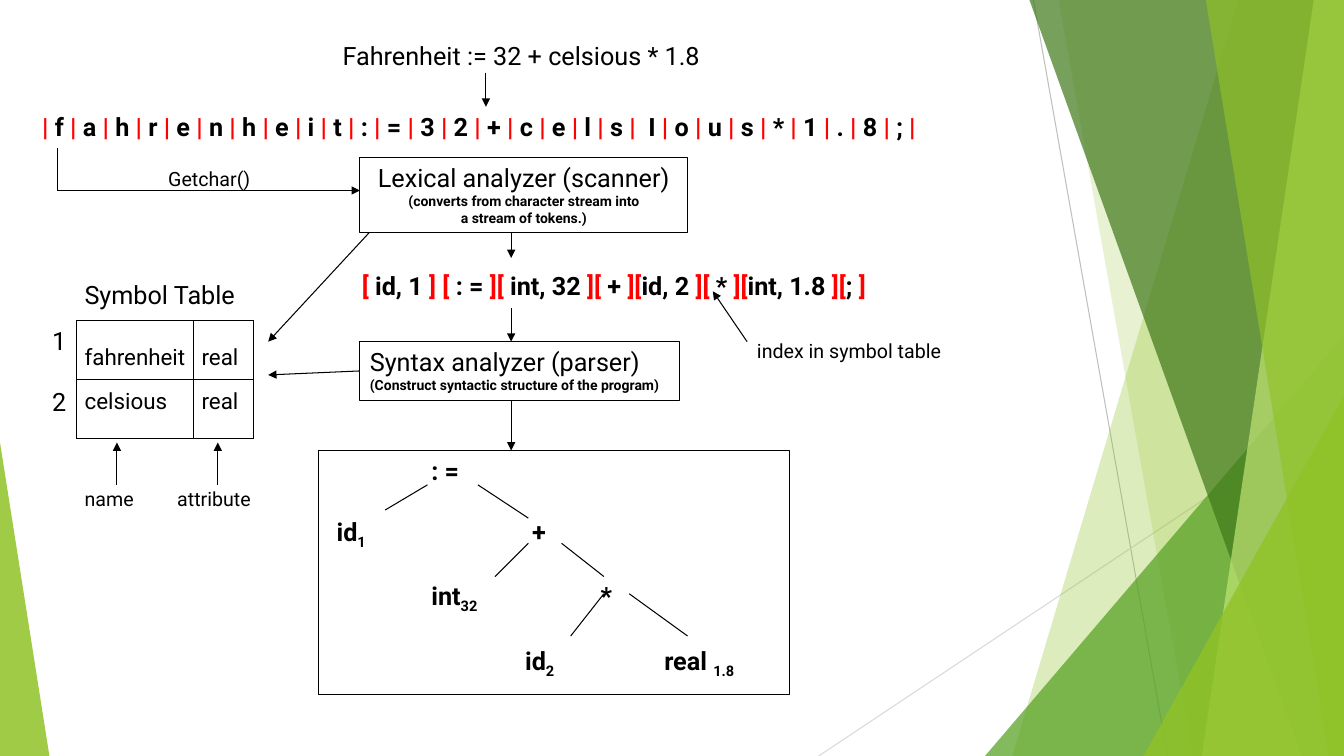
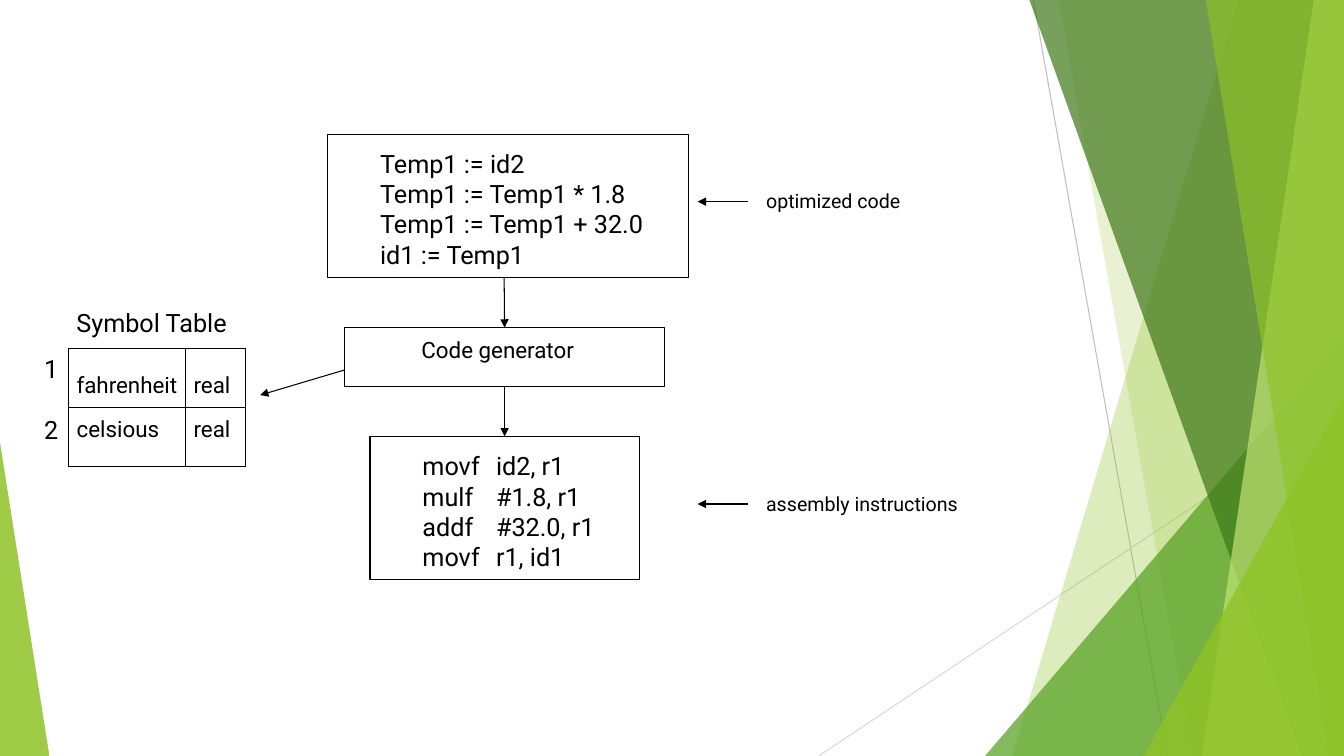
from itertools import cycle

from lxml import etree
from pptx import Presentation
from pptx.dml.color import RGBColor
from pptx.enum.shapes import MSO_CONNECTOR, MSO_SHAPE
from pptx.enum.text import MSO_ANCHOR, PP_ALIGN
from pptx.oxml.ns import qn
from pptx.util import Inches, Pt

FONT = "Roboto"
BLACK = RGBColor(0x00, 0x00, 0x00)
RED = RGBColor(0xFF, 0x00, 0x00)
LIME = RGBColor(0x90, 0xC2, 0x26)
GREEN = RGBColor(0x54, 0xA0, 0x21)
FOREST = RGBColor(0x3F, 0x78, 0x19)
PALE_LIME = RGBColor(0xC0, 0xE4, 0x74)
GRAY = RGBColor(0xBF, 0xBF, 0xBF)
LIGHT_GRAY = RGBColor(0xD9, 0xD9, 0xD9)

SLIDE_WIDTH, SLIDE_HEIGHT = 13.33, 7.5
LINE_WIDTH = Pt(0.75)

# Background, from back to front
RAYS = [((10.25, 0), (11.58, 7.5), GRAY), ((13.33, 4.03), (8.12, 7.5), LIGHT_GRAY)]
# Bands: left edge at the top and at the bottom. Triangles: left, top, width, apex.
FACETS = [
    ((12.28, 10.04), LIME, 30),
    ((10.5, 11.83), LIME, 20),
    ((9.77, 3.33, 3.56, 1), GREEN, 72),
    ((10.21, 12.91), FOREST, 70),
    ((13.03, 11.92), PALE_LIME, 70),
    ((11.96, 13.18), LIME, 65),
    ((11.34, 3.93, 1.99, 1), LIME, 80),
    ((0, 4.39, 0.49, 0), LIME, 85),
]

SYMBOLS = [("fahrenheit", "real"), ("celsious", "real")]
SYMBOL_COLUMNS = (1.16, 0.59)
SYMBOL_ROW = 0.585

# Slide 1
STATEMENT = "Fahrenheit := 32 + celsious * 1.8"
CHARACTERS = [*"fahrenheit:=32+cels", " I", *"ous*1.8;"]
TOKENS = ["[", " id, 1 ", "] [", " : = ", "][ ", "int, 32 ", "][", " + ", "][", "id, 2 ",
          "][", " * ", "][", "int, 1.8 ", "][", ";", " ]"]
SCANNER = [("Lexical analyzer (scanner)", 18, False),
           ("(converts from character stream into", 10, True),
           ("a stream of tokens.)", 10, True)]
PARSER = [("Syntax analyzer (parser)", 18, False),
          ("(Construct syntactic structure of the program)", 10, True)]
CAPTIONS = [("Getchar()", 1.57, 1.61), ("name", 0.74, 4.78), ("attribute", 1.66, 4.78),
            ("index in symbol table", 7.41, 3.31)]
FLOW_ARROWS = [
    ((4.82, 0.72), (4.82, 1.06)),
    ((0.57, 1.89), (3.57, 1.89)),
    ((3.66, 2.31), (2.66, 3.39)),
    ((5.07, 2.31), (5.07, 2.56)),
    ((5.07, 3.06), (5.07, 3.39)),
    ((5.07, 3.97), (5.07, 4.47)),
    ((1.16, 4.81), (1.16, 4.39)),
    ((2.16, 4.81), (2.16, 4.39)),
    ((7.41, 3.39), (7.07, 2.89)),
]
# Text, subscript, left, top
TREE_NODES = [
    (": =", "", 4.18, 4.47),
    ("id", "1", 3.24, 5.07), ("+", "", 5.18, 5.07),
    ("int", "32", 4.18, 5.71), ("*", "", 5.86, 5.71),
    ("id", "2", 5.11, 6.35), ("real ", "1.8", 6.49, 6.35),
]
TREE_BRANCHES = [
    ((4.24, 4.81), (3.82, 5.06)), ((4.74, 4.81), (5.24, 5.14)),
    ((5.24, 5.39), (4.91, 5.72)), ((5.57, 5.39), (5.99, 5.72)),
    ((5.99, 5.89), (5.66, 6.31)), ((6.24, 5.89), (6.82, 6.31)),
]

# Slide 2
OPTIMIZED = ["Temp1 := id2", "Temp1 := Temp1 * 1.8", "Temp1 := Temp1 + 32.0", "id1 := Temp1"]
ASSEMBLY = ["movf\tid2, r1", "mulf\t#1.8, r1", "addf\t#32.0, r1", "movf\tr1, id1"]
NOTES = [("optimized code", 2), ("assembly instructions", 5)]


def style_paragraph(paragraph, size, bold=False):
    font = paragraph.font
    font.name, font.size, font.bold = FONT, Pt(size), bold
    font.color.rgb = BLACK


def write_lines(frame, lines, align=PP_ALIGN.LEFT):
    """Fill a frame with (text, size, bold) paragraphs."""
    for index, (text, size, bold) in enumerate(lines):
        paragraph = frame.add_paragraph() if index else frame.paragraphs[0]
        paragraph.text = text
        paragraph.alignment = align
        style_paragraph(paragraph, size, bold)


def add_text(page, text, left, top, size=18, bold=False, width=4):
    box = page.shapes.add_textbox(Inches(left), Inches(top), Inches(width), Inches(0.4))
    box.text_frame.word_wrap = True
    write_lines(box.text_frame, [(text, size, bold)])
    return box.text_frame.paragraphs[0]


def add_striped_text(page, pieces, left, top, width):
    """Bold line whose pieces alternate between red and black."""
    paragraph = add_text(page, "", left, top, bold=True, width=width)
    for piece, color in zip(pieces, cycle((RED, BLACK))):
        span = paragraph.add_run()
        span.text = piece
        span.font.color.rgb = color


def add_box(page, left, top, width, height, lines=(), align=PP_ALIGN.LEFT, inset=(0.1, 0.05)):
    box = page.shapes.add_shape(MSO_SHAPE.RECTANGLE, Inches(left), Inches(top),
                                Inches(width), Inches(height))
    box.shadow.inherit = False
    box.fill.background()
    box.line.color.rgb = BLACK
    box.line.width = LINE_WIDTH
    frame = box.text_frame
    frame.word_wrap = True
    frame.vertical_anchor = MSO_ANCHOR.TOP
    frame.margin_left, frame.margin_top = map(Inches, inset)
    write_lines(frame, lines, align)
    return box


def add_line(page, start, end, color=BLACK, arrow=False):
    line = page.shapes.add_connector(MSO_CONNECTOR.STRAIGHT, *map(Inches, start + end))
    line.line.color.rgb = color
    line.line.width = LINE_WIDTH
    if arrow:
        etree.SubElement(line.line._get_or_add_ln(), qn("a:tailEnd"), type="triangle")
    etree.SubElement(line._element.spPr, qn("a:effectLst"))
    return line


def add_facet(page, outline, color, opacity):
    if len(outline) == 2:
        top_x, bottom_x = outline
        corners = [(SLIDE_WIDTH, 0), (SLIDE_WIDTH, SLIDE_HEIGHT), (bottom_x, SLIDE_HEIGHT)]
        builder = page.shapes.build_freeform(Inches(top_x), 0)
        builder.add_line_segments([(Inches(x), Inches(y)) for x, y in corners])
        facet = builder.convert_to_shape()
    else:
        left, top, width, apex = outline
        facet = page.shapes.add_shape(MSO_SHAPE.ISOSCELES_TRIANGLE, Inches(left), Inches(top),
                                      Inches(width), Inches(SLIDE_HEIGHT - top))
        facet.adjustments[0] = apex
    facet.shadow.inherit = False
    facet.line.fill.background()
    facet.fill.solid()
    facet.fill.fore_color.rgb = color
    tint = facet._element.spPr.find(qn("a:solidFill"))[0]
    etree.SubElement(tint, qn("a:alpha"), val=str(opacity * 1000))


def decorate_layout(layout, page):
    """Draw the background on a page, then move it to the layout all pages share."""
    for placeholder in list(layout.placeholders):
        layout.shapes._spTree.remove(placeholder._element)
    for start, end, color in RAYS:
        add_line(page, start, end, color)
    for facet in FACETS:
        add_facet(page, *facet)
    for shape in list(page.shapes):
        layout.shapes._spTree.append(shape._element)


def add_cell_borders(cell):
    properties = cell._tc.get_or_add_tcPr()
    for side in ("lnL", "lnR", "lnT", "lnB"):
        border = etree.SubElement(properties, qn("a:" + side), w=str(LINE_WIDTH))
        fill = etree.SubElement(border, qn("a:solidFill"))
        etree.SubElement(fill, qn("a:srgbClr"), val=str(BLACK))


def add_symbol_table(page, left, top):
    add_text(page, "Symbol Table", left - 0.02, top - 0.46, width=2)
    table = page.shapes.add_table(len(SYMBOLS), len(SYMBOL_COLUMNS), Inches(left), Inches(top),
                                  Inches(sum(SYMBOL_COLUMNS)),
                                  Inches(SYMBOL_ROW * len(SYMBOLS))).table
    table.first_row = table.horz_banding = False
    for column, width in zip(table.columns, SYMBOL_COLUMNS):
        column.width = Inches(width)
    anchors = (MSO_ANCHOR.BOTTOM, MSO_ANCHOR.TOP)
    for row, (symbol, anchor) in enumerate(zip(SYMBOLS, anchors)):
        table.rows[row].height = Inches(SYMBOL_ROW)
        add_text(page, str(row + 1), left - 0.34, top + 0.6 * row, width=0.4)
        for column, text in enumerate(symbol):
            cell = table.cell(row, column)
            write_lines(cell.text_frame, [(text, 16, False)])
            cell.vertical_anchor = anchor
            cell.margin_left = Inches(0.08)
            cell.margin_right = 0
            cell.margin_top = cell.margin_bottom = Inches(0.09)
            add_cell_borders(cell)
            cell.fill.background()


def build_analysis(page):
    add_text(page, STATEMENT, 3.3, 0.35)
    characters = ["|"]
    for character in CHARACTERS:
        characters += [f" {character} ", "|"]
    add_striped_text(page, characters, 0.32, 1.06, 9.56)
    add_striped_text(page, TOKENS, 3.49, 2.63, 6.4)
    add_symbol_table(page, 0.76, 3.18)
    add_box(page, 3.57, 1.56, 3.25, 0.75, SCANNER, PP_ALIGN.CENTER)
    parser = add_box(page, 3.57, 3.39, 3.17, 0.58, PARSER)
    add_box(page, 3.16, 4.47, 4.67, 2.42)

    add_line(page, (0.57, 1.47), (0.57, 1.89))
    for start, end in FLOW_ARROWS:
        add_line(page, start, end, arrow=True)
    add_line(page, (3.57, 3.68), (2.66, 3.72), arrow=True).begin_connect(parser, 1)
    for text, left, top in CAPTIONS:
        add_text(page, text, left, top, size=14, width=2.3)

    for start, end in TREE_BRANCHES:
        add_line(page, start, end)
    for text, subscript, left, top in TREE_NODES:
        paragraph = add_text(page, text, left, top, bold=True, width=1.2)
        if subscript:
            span = paragraph.add_run()
            span.text = subscript
            span._r.get_or_add_rPr().set("baseline", "-25000")


def build_generation(page):
    add_symbol_table(page, 0.68, 3.46)
    add_box(page, 3.25, 1.33, 3.58, 1.42, [(line, 18, False) for line in OPTIMIZED],
            inset=(0.52, 0.14))
    generator = add_box(page, 3.42, 3.25, 3.17, 0.58, [("Code generator", 16, False)],
                        inset=(0.76, 0.08))
    assembly = add_box(page, 3.67, 4.33, 2.67, 1.42, [(line, 18, False) for line in ASSEMBLY],
                       inset=(0.52, 0.14))
    for paragraph in assembly.text_frame.paragraphs:
        stops = etree.Element(qn("a:tabLst"))
        etree.SubElement(stops, qn("a:tab"), pos=str(Inches(0.73)), algn="l")
        paragraph._p.get_or_add_pPr().insert(0, stops)

    add_line(page, (5, 2.75), (5, 3.25), arrow=True).end_connect(generator, 0)
    output = add_line(page, (5, 3.83), (5, 4.33), arrow=True)
    output.begin_connect(generator, 2)
    output.end_connect(assembly, 0)
    add_line(page, (3.42, 3.67), (2.58, 3.92), arrow=True)
    for text, middle in NOTES:
        add_text(page, text, 7.5, middle - 0.17, size=14, width=2.3)
        add_line(page, (7.42, middle), (6.92, middle), arrow=True)


def main():
    deck = Presentation()
    deck.slide_width, deck.slide_height = Inches(SLIDE_WIDTH), Inches(SLIDE_HEIGHT)
    layout = deck.slide_layouts[6]
    pages = [deck.slides.add_slide(layout) for _ in range(2)]
    decorate_layout(layout, pages[0])
    build_analysis(pages[0])
    build_generation(pages[1])
    deck.save("out.pptx")


if __name__ == "__main__":
    main()
